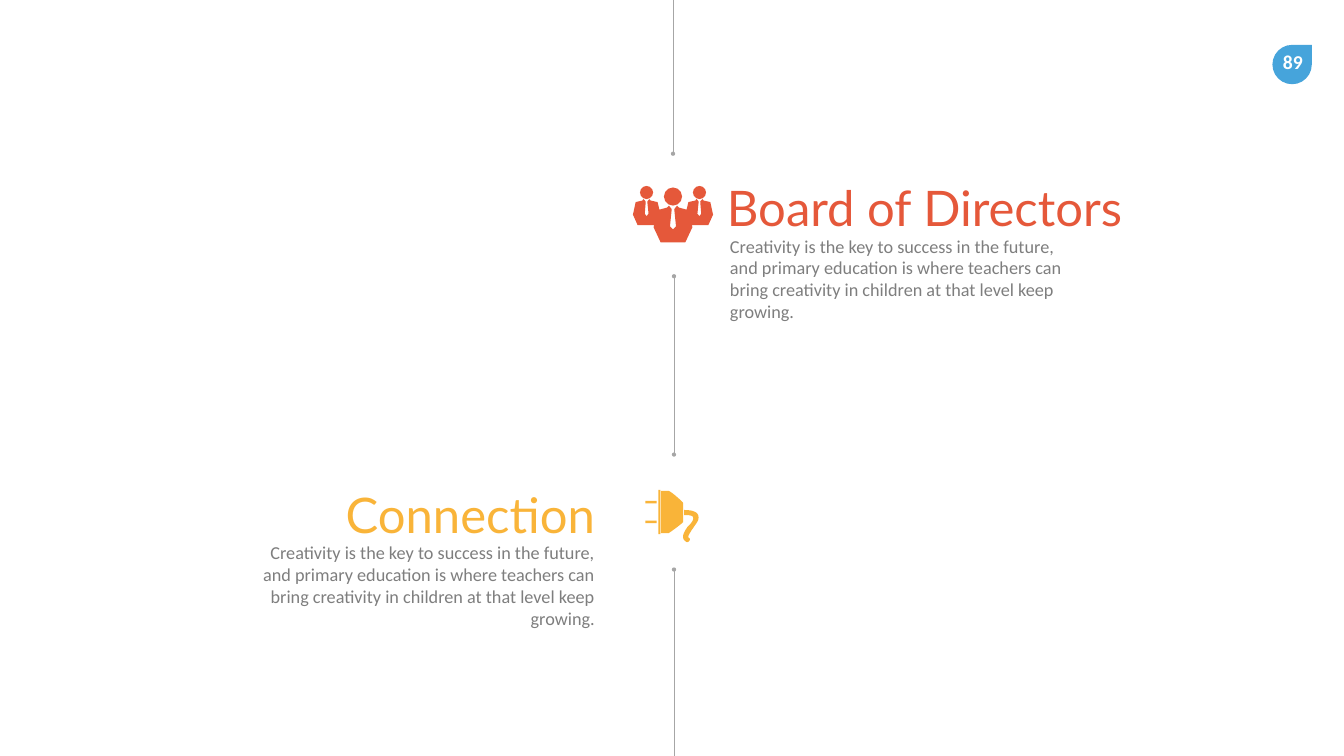
"""Build a timeline slide with two icon entries on a vertical line."""
from lxml import etree
from pptx import Presentation
from pptx.dml.color import RGBColor
from pptx.enum import shapes, text
from pptx.oxml.ns import qn
from pptx.util import Pt

COLORS = {"blue": "46A4DB", "white": "FFFFFF", "red": "E5583A",
          "amber": "F9B439", "body": "7E7E7E", "line": "A6A6A6"}
LEFT, CENTER, RIGHT = text.PP_ALIGN.LEFT, text.PP_ALIGN.CENTER, text.PP_ALIGN.RIGHT
TOP, MIDDLE = text.MSO_ANCHOR.TOP, text.MSO_ANCHOR.MIDDLE
AXIS = 961.2
BODY = ("Creativity is the key to success in the future, and primary education is "
        "where teachers can bring creativity in children at that level keep growing.")

SUIT_TOP = 284.4
SUIT_HALF = [(0, 43.2), (4.3, 38.9), (1.8, 14.4), (5.8, 9.4), (8.6, 12.2),
             (19.4, 15.1), (22, 4.3), (31.7, 2.2), (33.8, 0), (36.7, 3.6),
             (34.9, 20.9), (37.8, 24.5), (40.3, 20.9), (38.9, 3.6), (42.1, 0),
             (43.9, 2.2), (53.3, 4.3), (57.2, 22.3), (50.4, 37.4), (27, 37.4),
             (27.7, 40.3), (17.6, 61.9)]
CORD = [(977, 728.6), (977, 735.8),
        (982.1, 735.8, 989.3, 735.8, 990, 739.4),
        (991.4, 743, 985, 750.2, 982.1, 752.4),
        (978.5, 758.2, 970.6, 768.2, 979.9, 774),
        (983.5, 776.2, 987.8, 769.7, 983.5, 768.2),
        (979.9, 766.1, 995.8, 747.4, 997.2, 743),
        (1000.8, 730.1, 986.4, 728.6, 977, 728.6)]
PLUG = [(975.6, 745.9), (975.6, 718.6),
        (975.6, 717.1, 957.6, 701.3, 954.7, 701.3),
        (943.9, 701.3), (943.9, 761.8), (954.7, 761.8),
        (957.6, 760.3, 974.9, 747.4, 975.6, 745.9)]


def rgb(color):
    return RGBColor.from_string(COLORS[color])


def paint(shape, color):
    shape.shadow.inherit = False
    shape.fill.solid()
    shape.fill.fore_color.rgb = rgb(color)
    shape.line.fill.background()


def add_preset(parent, kind, box, color):
    paint(parent.add_shape(kind, *map(Pt, box)), color)


def add_disc(parent, x, y, diameter, color):
    box = (x - diameter / 2, y - diameter / 2, diameter, diameter)
    add_preset(parent, shapes.MSO_SHAPE.OVAL, box, color)


def flatten(segments, steps=10):
    """Return points along lines and cubic curves."""
    points = []
    for segment in segments:
        if len(segment) == 2:
            points.append(segment)
            continue
        curve = [points[-1]] + [segment[i:i + 2] for i in (0, 2, 4)]
        for step in range(1, steps + 1):
            t = step / steps
            weights = ((1 - t) ** 3, 3 * t * (1 - t) ** 2, 3 * t * t * (1 - t), t ** 3)
            points.append(tuple(sum(w * p[axis] for w, p in zip(weights, curve))
                                for axis in (0, 1)))
    return points


def add_outline(parent, points, color):
    start, *rest = [(Pt(x), Pt(y)) for x, y in points]
    builder = parent.build_freeform(*start, scale=1.0)
    builder.add_line_segments(rest, close=True)
    paint(builder.convert_to_shape(), color)


def write(shape, wording, size, color, face="Calibri", align=LEFT,
          anchor=TOP, wrap=True, bold=False):
    frame = shape.text_frame
    frame.text = wording
    paragraph = frame.paragraphs[0]
    frame_format = {"word_wrap": wrap, "auto_size": text.MSO_AUTO_SIZE.NONE,
                    "vertical_anchor": anchor,
                    "margin_left": Pt(14.4), "margin_right": Pt(14.4),
                    "margin_top": Pt(7.2), "margin_bottom": Pt(7.2)}
    font_format = {"size": Pt(size), "name": face, "bold": bold}
    for target, values in ((frame, frame_format), (paragraph, {"alignment": align}),
                           (paragraph.font, font_format)):
        for name, value in values.items():
            setattr(target, name, value)
    paragraph.font.color.rgb = rgb(color)


def add_text(slide, box, *args, **kwargs):
    write(slide.shapes.add_textbox(*map(Pt, box)), *args, **kwargs)


def add_title(slide, box, *args, **kwargs):
    title = slide.shapes.title
    for name, value in zip(("left", "top", "width", "height"), box):
        setattr(title, name, Pt(value))
    write(title, *args, **kwargs)


def add_timeline(slide, x, start, end, *dots):
    line = slide.shapes.add_connector(shapes.MSO_CONNECTOR.STRAIGHT,
                                      Pt(x), Pt(start), Pt(x), Pt(end))
    line.line.color.rgb = rgb("line")
    line.line.width = Pt(0.5)
    outline = line.line._get_or_add_ln()
    for dot in dots:
        etree.SubElement(outline, qn(f"a:{dot}"), type="oval")
    etree.SubElement(line._element.spPr, qn("a:effectLst"))


def add_directors_icon(slide):
    icon = slide.shapes.add_group_shape().shapes
    add_disc(icon, AXIS, 280.8, 25.9, "red")
    for side in (-1, 1):
        add_disc(icon, AXIS + side * 37.8, 275, 18.7, "red")
    right = [(AXIS + x, SUIT_TOP + y) for x, y in SUIT_HALF]
    left = [(AXIS - x, SUIT_TOP + y) for x, y in reversed(SUIT_HALF[1:])]
    add_outline(icon, right + left, "red")


def add_plug_icon(slide):
    icon = slide.shapes.add_group_shape().shapes
    for outline in (CORD, PLUG):
        add_outline(icon, flatten(outline), "amber")
    prongs = [(921.6, y, 16.2, 3.6) for y in (715.7, 743.8)]
    for box in prongs + [(940.3, 699.8, 2.9, 63.4)]:
        add_preset(icon, shapes.MSO_SHAPE.RECTANGLE, box, "amber")


def main():
    deck = Presentation()
    deck.slide_width, deck.slide_height = Pt(1919.52), Pt(1080)
    slide = deck.slides.add_slide(deck.slide_layouts[5])

    add_preset(slide.shapes, shapes.MSO_SHAPE.TEAR, (1817.3, 64.1, 56.2, 56.2), "blue")
    add_text(slide, (1815.1, 64.8, 62.6, 48.2), "89", 28, "white",
             align=CENTER, wrap=False, bold=True)

    heading = {"face": "Lato", "anchor": MIDDLE}
    add_title(slide, (1023.8, 249.8, 663.8, 92.9), "Board of Directors", 70, "red",
              **heading)
    add_text(slide, (1028.2, 328.3, 514.1, 153.4), BODY, 26, "body")
    add_text(slide, (258.5, 688.3, 605.5, 92.9), "Connection", 70, "amber",
             align=RIGHT, **heading)
    add_text(slide, (349.9, 766.8, 514.1, 146.9), BODY, 26, "body", align=RIGHT)

    add_timeline(slide, AXIS, 219.6, 0, "headEnd")
    add_timeline(slide, 962.6, 394.6, 649.4, "headEnd", "tailEnd")
    add_timeline(slide, 962.6, 813.6, 1080, "headEnd")
    add_directors_icon(slide)
    add_plug_icon(slide)
    deck.save("out.pptx")


if __name__ == "__main__":
    main()
